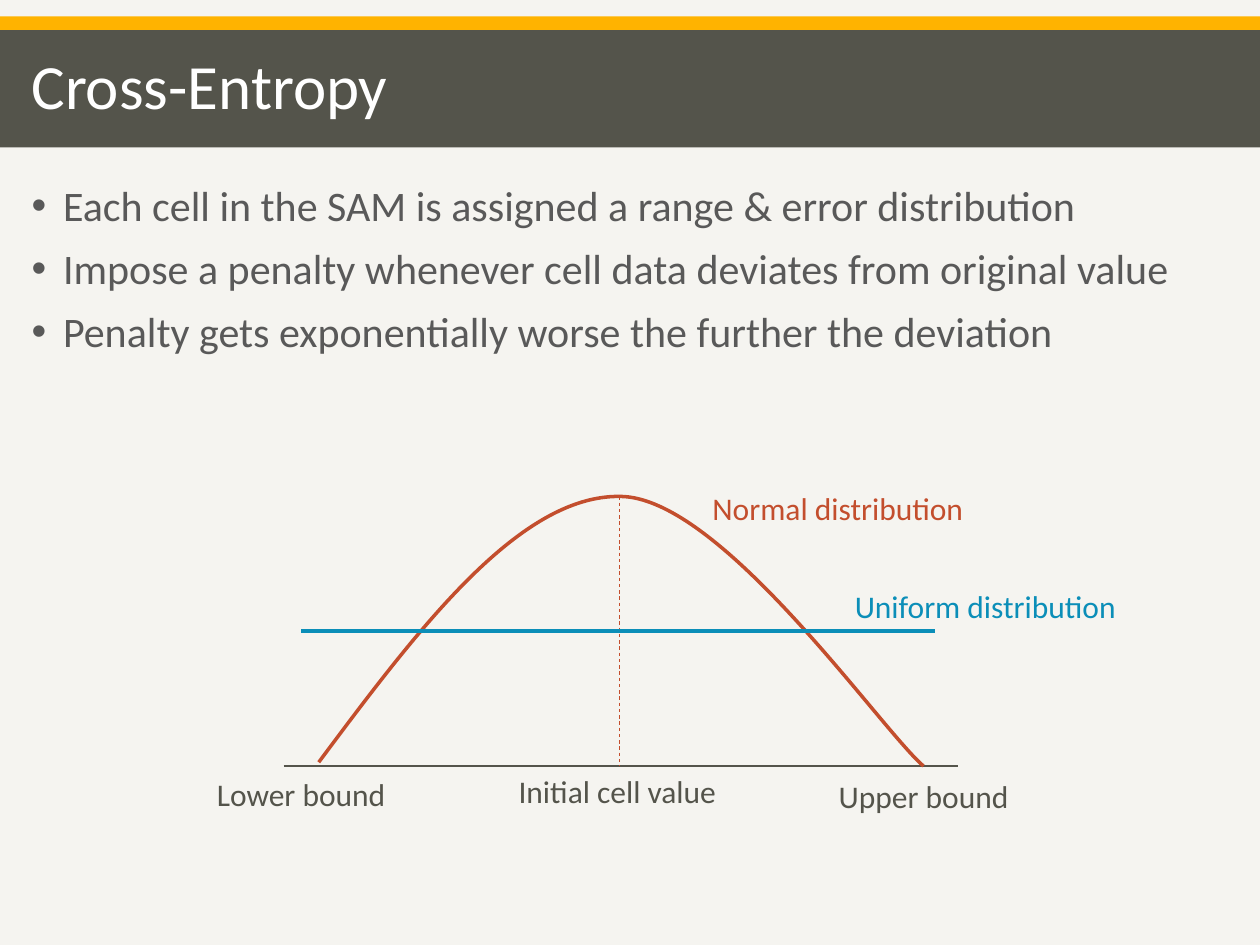
from lxml import etree
from pptx import Presentation
from pptx.dml.color import RGBColor
from pptx.enum import dml, shapes, text
from pptx.oxml.ns import qn
from pptx.util import Inches, Pt

GREY, AMBER, RED, BLUE = "54544B", "FFB300", "C34E2D", "0B8EB8"
BODY, WHITE, PAPER = "595959", "FFFFFF", "F5F4F0"

BULLETS = [
    "Each cell in the SAM is assigned a range & error distribution",
    "Impose a penalty whenever cell data deviates from original value",
    "Penalty gets exponentially worse the further the deviation",
]
AXIS_Y, PEAK_X, PEAK_Y, UNIFORM_Y = 6.08, 4.92, 3.94, 5.01
# Start point, then three Bezier points for each half of the bell
BELL = [(2.53, 6.05),
        (3.32, 4.99), (4.12, 3.93), (PEAK_X, PEAK_Y),
        (5.72, 3.94), (6.99, 5.79), (7.33, AXIS_Y)]
LABELS = [
    ("Initial cell value", 3.56, 6.08, GREY),
    ("Upper bound", 5.99, 6.12, GREY),
    ("Lower bound", 1.05, 6.10, GREY),
    ("Normal distribution", 5.31, 3.83, RED),
    ("Uniform distribution", 6.48, 4.61, BLUE),
]


def rgb(color):
    return RGBColor.from_string(color)


def set_attrs(obj, **values):
    for name, value in values.items():
        setattr(obj, name, value)


def place(sp, x, y, w, h):
    set_attrs(sp, left=Inches(x), top=Inches(y), width=Inches(w), height=Inches(h))


def write(p, words, size, color, **fmt):
    set_attrs(p, **fmt)
    r = p.add_run()
    r.text = words
    set_attrs(r.font, name="Calibri", size=Pt(size))
    r.font.color.rgb = rgb(color)


def add_band(s, y, h, color):
    sp = s.shapes.add_shape(shapes.MSO_SHAPE.RECTANGLE, 0, Inches(y), Inches(10), Inches(h))
    sp.shadow.inherit = False
    sp.fill.solid()
    sp.fill.fore_color.rgb = rgb(color)
    sp.line.fill.background()
    # Bands lie behind the title
    s.shapes.title._element.addprevious(sp._element)


def add_title(s, words):
    sp = s.shapes.title
    place(sp, 0.15, 0.24, 8.83, 0.93)
    tf = sp.text_frame
    set_attrs(tf, auto_size=text.MSO_AUTO_SIZE.NONE, vertical_anchor=text.MSO_ANCHOR.MIDDLE)
    write(tf.paragraphs[0], words, 36, WHITE, alignment=text.PP_ALIGN.LEFT, line_spacing=0.9)


def add_bullets(s, items):
    sp = s.placeholders[1]
    place(sp, 0.15, 1.42, 9.66, 1.64)
    tf = sp.text_frame
    tf.auto_size = text.MSO_AUTO_SIZE.NONE
    for i, item in enumerate(items):
        p = tf.add_paragraph() if i else tf.paragraphs[0]
        pPr = p._p.get_or_add_pPr()
        pPr.set("marL", str(Inches(0.25)))
        pPr.set("indent", str(-Inches(0.25)))
        etree.SubElement(pPr, qn("a:buFont")).set("typeface", "Arial")
        etree.SubElement(pPr, qn("a:buChar")).set("char", "•")
        write(p, item, 24, BODY, line_spacing=0.9, space_before=Pt(10 if i else 0))


def style_line(sp, color, width, dash=None):
    sp.line.color.rgb = rgb(color)
    set_attrs(sp.line, width=Pt(width), dash_style=dash)


def add_line(s, x1, y1, x2, y2, color, width, dash=None):
    sp = s.shapes.add_connector(shapes.MSO_CONNECTOR.STRAIGHT,
                                Inches(x1), Inches(y1), Inches(x2), Inches(y2))
    style_line(sp, color, width, dash)
    etree.SubElement(sp._element.spPr, qn("a:effectLst"))


def add_curve(s, points, color, width):
    pts = [(Inches(x), Inches(y)) for x, y in points]
    fb = s.shapes.build_freeform(*pts[0])
    fb.add_line_segments(pts[1:], close=False)
    sp = fb.convert_to_shape()
    sp.shadow.inherit = False
    sp.fill.background()
    style_line(sp, color, width)
    # Turn every three straight segments into one cubic Bezier
    segments = list(sp._element.iter(qn("a:lnTo")))
    for i in range(0, len(segments), 3):
        curve = etree.Element(qn("a:cubicBezTo"))
        segments[i].addprevious(curve)
        for seg in segments[i:i + 3]:
            curve.append(seg[0])
            seg.getparent().remove(seg)


def add_label(s, words, x, y, color):
    sp = s.shapes.add_textbox(Inches(x), Inches(y), Inches(2.68), Inches(0.4))
    tf = sp.text_frame
    set_attrs(tf, word_wrap=True, auto_size=text.MSO_AUTO_SIZE.SHAPE_TO_FIT_TEXT)
    write(tf.paragraphs[0], words, 18, color, alignment=text.PP_ALIGN.CENTER)


def main():
    prs = Presentation()
    set_attrs(prs, slide_width=Inches(10), slide_height=Inches(7.5))
    s = prs.slides.add_slide(prs.slide_layouts[1])
    s.background.fill.solid()
    s.background.fill.fore_color.rgb = rgb(PAPER)

    # Header and bullets
    add_band(s, 0.13, 0.11, AMBER)
    add_band(s, 0.24, 0.93, GREY)
    add_title(s, "Cross-Entropy")
    add_bullets(s, BULLETS)

    # Distribution diagram
    add_line(s, 2.25, AXIS_Y, 7.6, AXIS_Y, GREY, 1.25)
    add_curve(s, BELL, RED, 2)
    add_line(s, PEAK_X, PEAK_Y, PEAK_X, AXIS_Y, RED, 0.5, dml.MSO_LINE.DASH)
    add_line(s, 2.39, UNIFORM_Y, 7.42, UNIFORM_Y, BLUE, 2)
    for label in LABELS:
        add_label(s, *label)

    prs.save("out.pptx")


if __name__ == "__main__":
    main()
